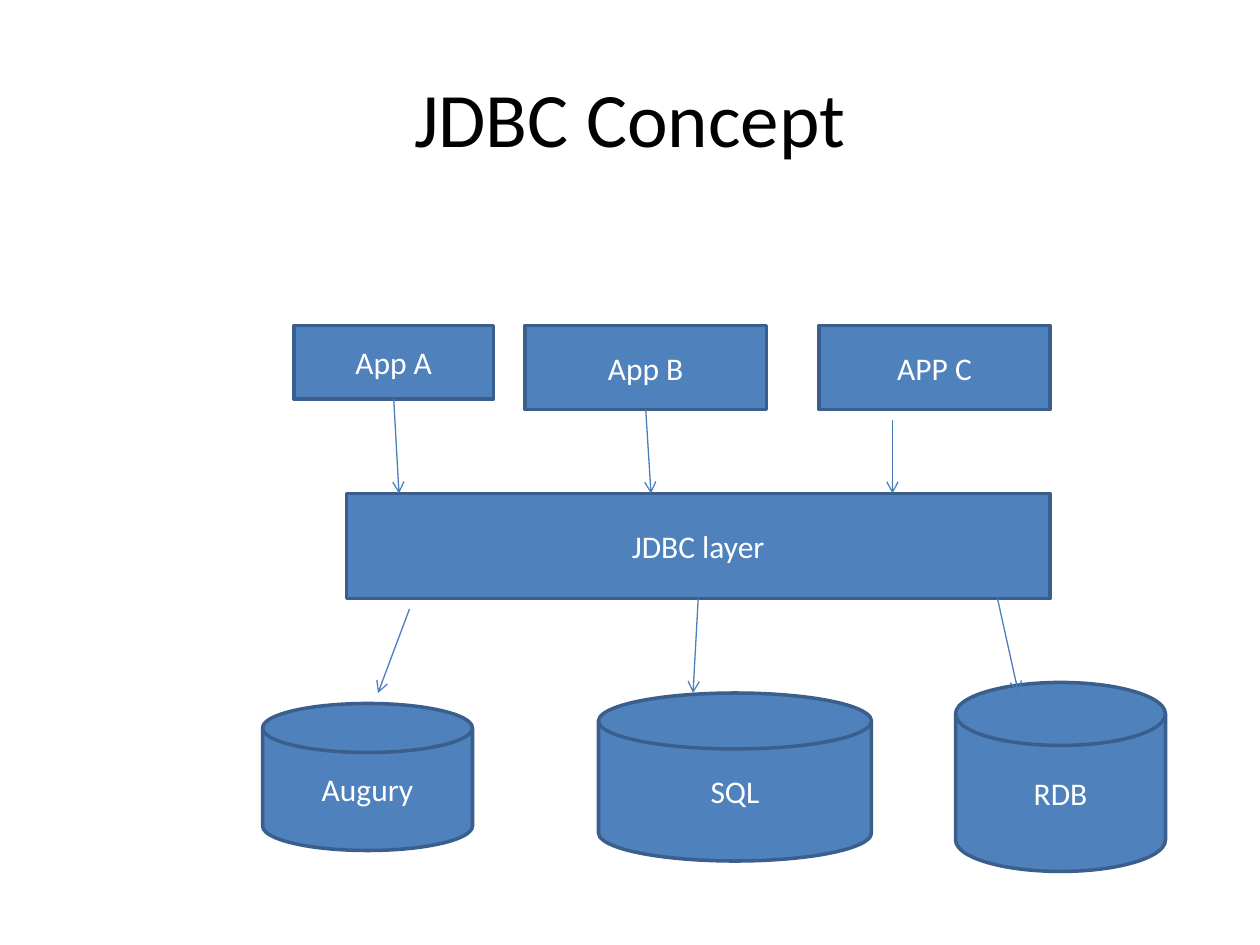
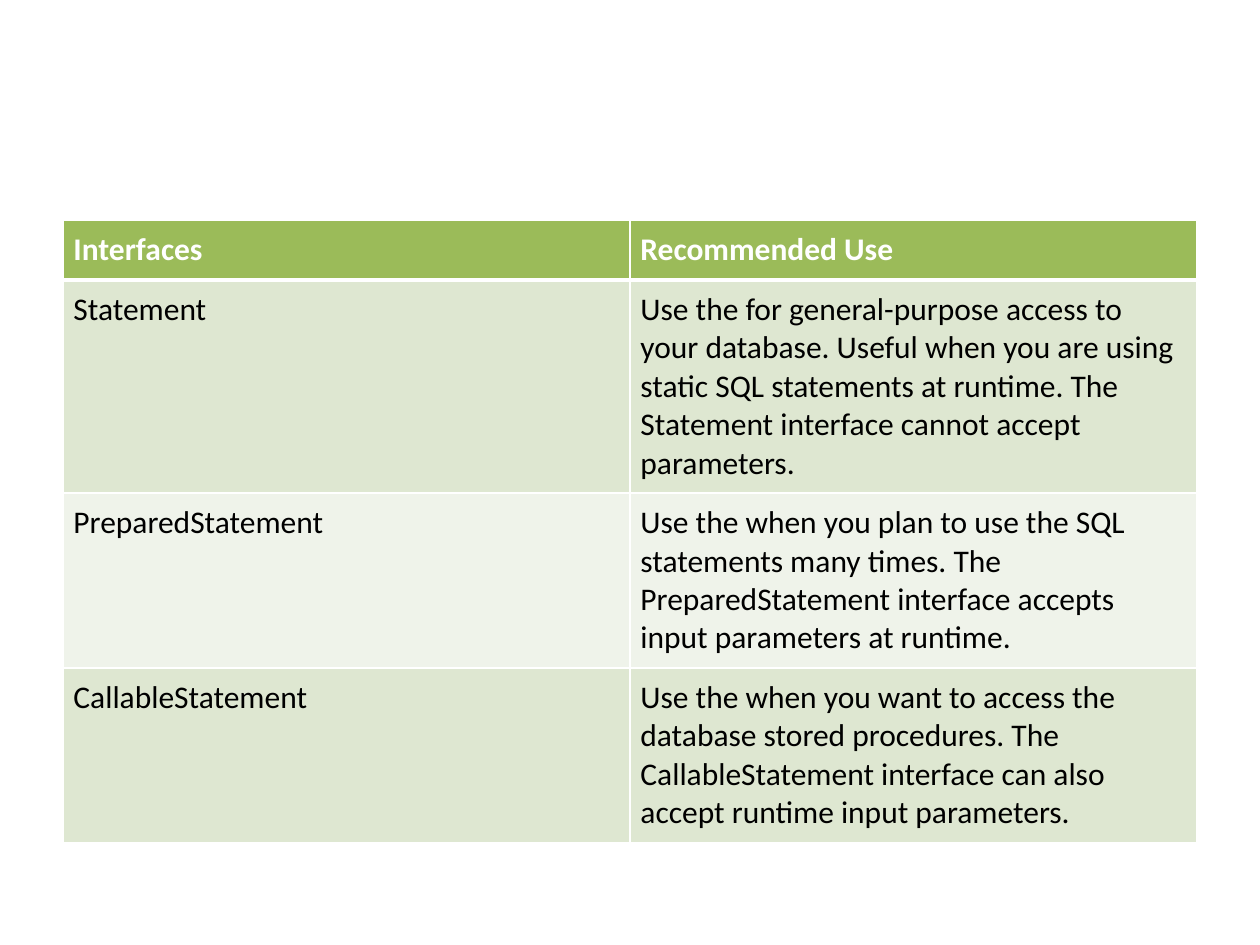
from lxml.etree import SubElement
from pptx import Presentation
from pptx.dml.color import RGBColor
from pptx.enum.shapes import MSO_CONNECTOR, MSO_SHAPE
from pptx.enum.text import MSO_ANCHOR, PP_ALIGN
from pptx.oxml.ns import qn
from pptx.util import Emu, Pt

EMU_PER_PX = 7620
FONT = "Calibri"
COLORS = {
    "white": "FFFFFF", "black": "000000",
    "block": "4F81BD", "outline": "3A5F8C", "arrow": "4B7EBC",
    "header": "9BBB59", "odd_row": "DEE7D1", "even_row": "EFF3EA",
}
BOTTOM_SIDE = 2

BLOCKS = [
    ("JDBC layer", MSO_SHAPE.RECTANGLE, (80, 160, 670, 100)),
    ("App A", MSO_SHAPE.RECTANGLE, (30, 0, 190, 70)),
    ("App B", MSO_SHAPE.RECTANGLE, (250, 0, 230, 80)),
    ("APP C", MSO_SHAPE.RECTANGLE, (530, 0, 220, 80)),
    ("Augury", MSO_SHAPE.FLOWCHART_MAGNETIC_DISK, (0, 360, 200, 140)),
    ("SQL", MSO_SHAPE.FLOWCHART_MAGNETIC_DISK, (320, 350, 260, 160)),
    ("RDB", MSO_SHAPE.FLOWCHART_MAGNETIC_DISK, (660, 340, 200, 180)),
]
ARROWS = [
    ("App A", (125, 70), (130, 160)),
    ("App B", (365, 80), (370, 160)),
    (None, (600, 90), (600, 160)),
    (None, (140, 270), (110, 350)),
    ("JDBC layer", (415, 260), (410, 350)),
    (None, (700, 260), (720, 350)),
]
INTERFACES = [
    ("Interfaces", "Recommended Use"),
    ("Statement", "Use the for general-purpose access to your database. Useful when "
     "you are using static SQL statements at runtime. The Statement interface "
     "cannot accept parameters."),
    ("PreparedStatement", "Use the when you plan to use the SQL statements many times. "
     "The PreparedStatement interface accepts input parameters at runtime."),
    ("CallableStatement", "Use the when you want to access the database stored "
     "procedures. The CallableStatement interface can also accept runtime input "
     "parameters."),
]
ROW_HEIGHTS = [56, 202, 166, 166]


def px(*lengths):
    """Turn px lengths into a list of EMU lengths."""
    return [Emu(length * EMU_PER_PX) for length in lengths]


def color(name):
    """Look up a named colour."""
    return RGBColor.from_string(COLORS[name])


def write(frame, text, size, color_name, align=PP_ALIGN.CENTER, bold=False):
    """Put one styled paragraph into a text frame."""
    frame.word_wrap = True
    paragraph = frame.paragraphs[0]
    paragraph.text = text
    paragraph.alignment = align
    font = paragraph.font
    font.name, font.size, font.bold = FONT, Pt(size), bold
    font.color.rgb = color(color_name)


def add_title(slide, box, text):
    """Add the slide title, centred in its box."""
    frame = slide.shapes.add_textbox(*px(*box)).text_frame
    frame.vertical_anchor = MSO_ANCHOR.MIDDLE
    write(frame, text, 44, "black")


def add_block(slide, kind, box, text):
    """Add a labelled diagram block."""
    shape = slide.shapes.add_shape(kind, *px(*box))
    shape.shadow.inherit = False
    shape.fill.solid()
    shape.fill.fore_color.rgb = color("block")
    shape.line.color.rgb = color("outline")
    shape.line.width = Pt(2)
    shape.text_frame.vertical_anchor = MSO_ANCHOR.MIDDLE
    write(shape.text_frame, text, 18, "white")
    return shape


def add_arrow(slide, start, end, source=None):
    """Add an open arrow, joined to the bottom of its source block if given."""
    connector = slide.shapes.add_connector(MSO_CONNECTOR.STRAIGHT, *px(*start, *end))
    if source is not None:
        connector.begin_connect(source, BOTTOM_SIDE)
    connector.line.color.rgb = color("arrow")
    connector.line.width = Pt(0.75)
    SubElement(connector.line._get_or_add_ln(), qn("a:tailEnd"), type="arrow")
    SubElement(connector._element.spPr, qn("a:effectLst"))


def add_diagram(slide, left, top):
    """Draw the applications, the JDBC layer and the databases."""
    blocks = {}
    for label, kind, (x, y, width, height) in BLOCKS:
        blocks[label] = add_block(slide, kind, (left + x, top + y, width, height), label)
    for source, (x1, y1), (x2, y2) in ARROWS:
        add_arrow(slide, (left + x1, top + y1), (left + x2, top + y2), blocks.get(source))


def set_borders(cell, bottom_width):
    """Give a cell white borders."""
    properties = cell._tc.get_or_add_tcPr()
    for side, width in (("L", 1), ("R", 1), ("T", 1), ("B", bottom_width)):
        line = SubElement(properties, qn(f"a:ln{side}"), w=str(Pt(width)))
        fill = SubElement(line, qn("a:solidFill"))
        SubElement(fill, qn("a:srgbClr"), val=COLORS["white"])


def add_interface_table(slide, left, top, width):
    """Add the table of statement interfaces."""
    size = px(left, top, width, sum(ROW_HEIGHTS))
    table = slide.shapes.add_table(len(INTERFACES), len(INTERFACES[0]), *size).table
    for row_index, (texts, height) in enumerate(zip(INTERFACES, ROW_HEIGHTS)):
        header = row_index == 0
        fill_name = "header" if header else "odd_row" if row_index % 2 else "even_row"
        table.rows[row_index].height = px(height)[0]
        for column_index, text in enumerate(texts):
            cell = table.cell(row_index, column_index)
            cell.margin_left = cell.margin_right = px(10)[0]
            cell.margin_top = cell.margin_bottom = px(10)[0]
            set_borders(cell, 3 if header else 1)
            cell.fill.solid()
            cell.fill.fore_color.rgb = color(fill_name)
            write(cell.text_frame, text, 18, "white" if header else "black",
                  PP_ALIGN.LEFT, header)


def main():
    """Build and save the presentation."""
    presentation = Presentation()
    presentation.slide_width, presentation.slide_height = px(1200, 900)
    blank = presentation.slide_layouts[6]
    concept = presentation.slides.add_slide(blank)
    add_title(concept, (60, 36, 1080, 150), "JDBC Concept")
    add_diagram(concept, 250, 310)
    add_interface_table(presentation.slides.add_slide(blank), 60, 210, 1080)
    presentation.save("out.pptx")


if __name__ == "__main__":
    main()
